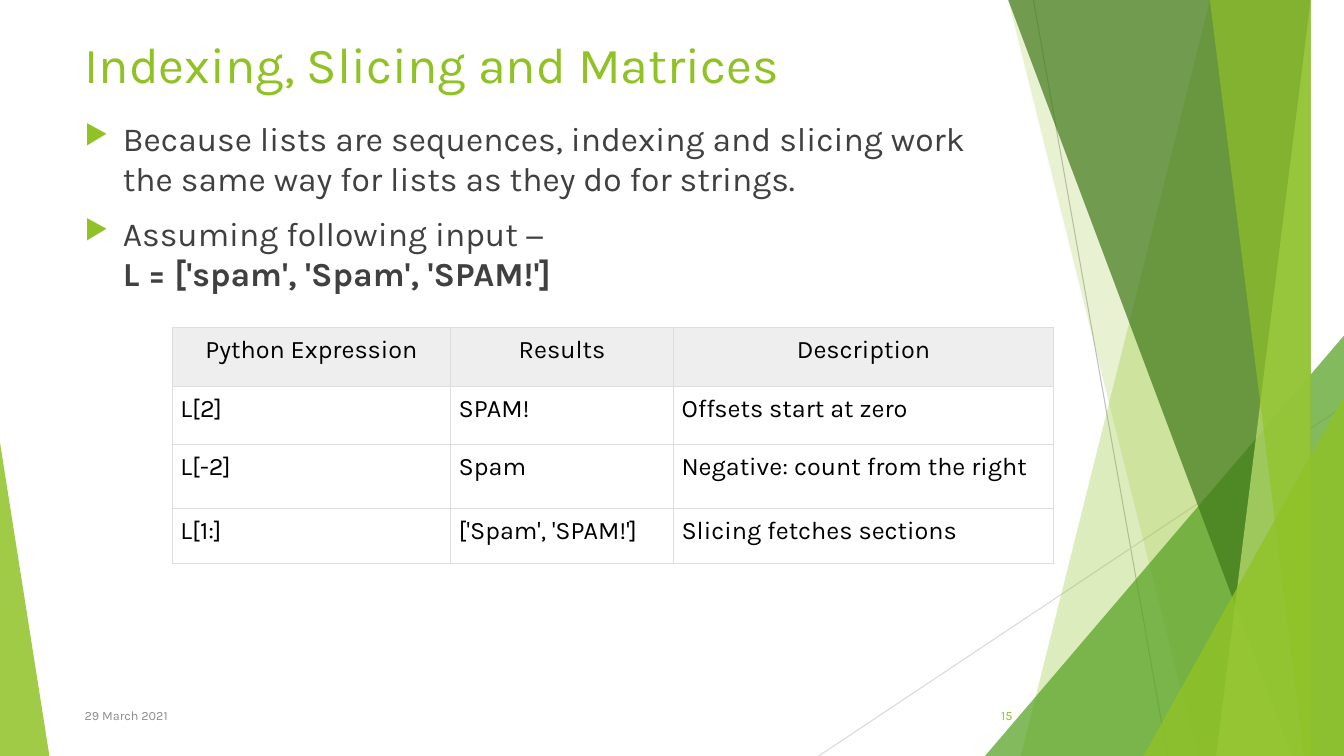
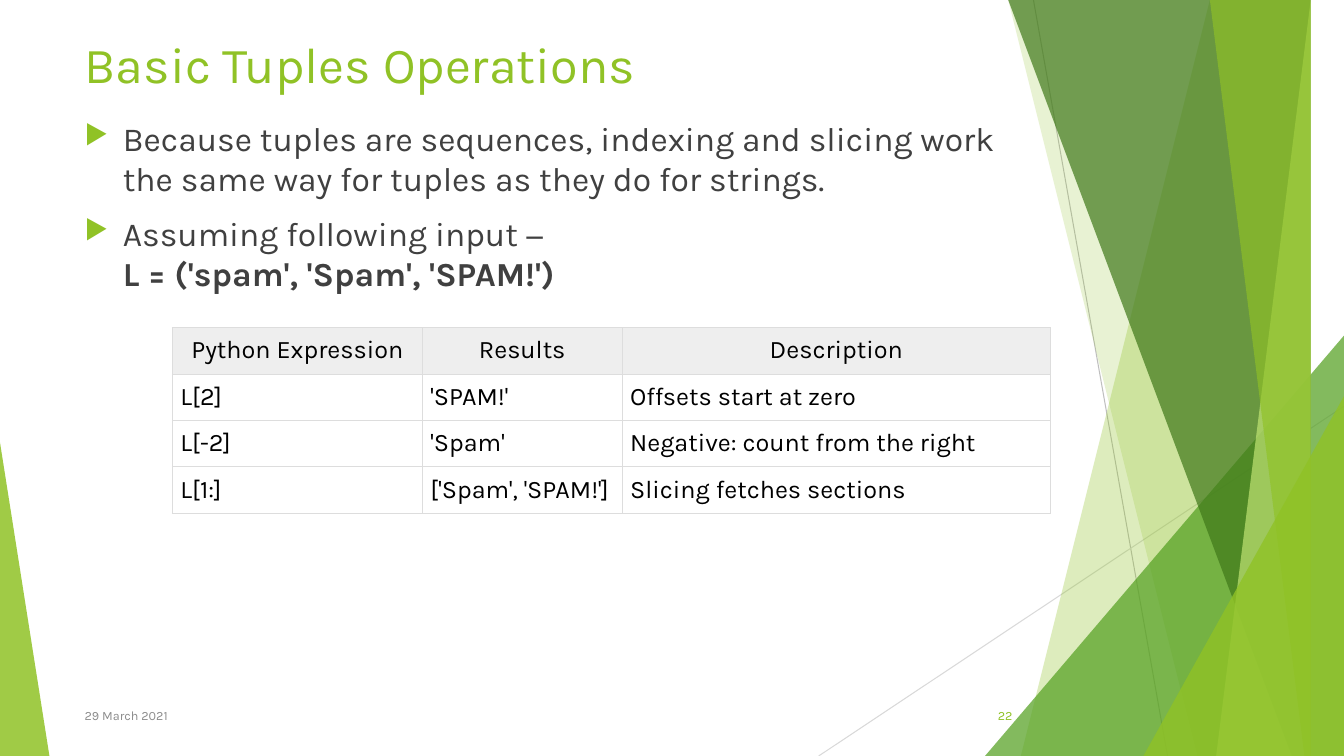
"""Build two slides on sequence indexing in a green wedge theme."""
from dataclasses import dataclass

from lxml import etree
from pptx import Presentation
from pptx import util as u
from pptx.dml.color import RGBColor
from pptx.enum import shapes, text
from pptx.oxml import ns


@dataclass(frozen=True)
class Theme:
    font: str = "Karla"
    lime: str = "90C226"
    leaf: str = "54A021"
    moss: str = "3F7819"
    pale: str = "C0E474"
    ink: str = "000000"
    body: str = "404040"
    mute: str = "8C8C8C"
    head: str = "EEEEEE"
    rule: str = "DDDDDD"
    steep: str = "BFBFBF"
    slant: str = "D9D9D9"
    title_pt: int = 36
    body_pt: int = 24
    cell_pt: int = 18
    foot_pt: int = 9
    line_pt: float = 0.75


WIDE, HIGH = 13.33, 7.5
LEFT, SPAN = 0.74, 9.4


def add_tag(parent, name, **attrs):
    return etree.SubElement(parent, ns.qn(name), attrs)


class Deck:
    def __init__(self, theme):
        self.theme = theme
        self.file = Presentation()
        self.file.slide_width = u.Inches(WIDE)
        self.file.slide_height = u.Inches(HIGH)
        self.slide = None

    def start(self, title, number):
        t = self.theme
        self.slide = self.file.slides.add_slide(self.file.slide_layouts[6])
        self.decor()
        self.label(title, (LEFT, 0.28, SPAN, 0.73), t.title_pt, t.lime)
        middle = text.MSO_ANCHOR.MIDDLE
        self.label(number, (9.39, 6.9, 0.75, 0.4), t.foot_pt, t.lime,
                   text.PP_ALIGN.RIGHT, middle)
        self.label("29 March 2021", (LEFT, 6.9, 6.89, 0.4), t.foot_pt, t.mute,
                   anchor=middle)

    def decor(self):
        t = self.theme
        self.line((10.25, 0), (11.58, HIGH), t.steep)
        self.line((WIDE, 4.03), (8.12, HIGH), t.slant)
        self.band(12.28, 10.04, t.lime, 30)
        self.band(10.5, 11.83, t.lime, 20)
        self.wedge(9.77, WIDE, 3.33, 1, t.leaf, 72)
        self.band(10.21, 12.91, t.moss, 70)
        self.band(13.03, 11.92, t.pale, 70)
        self.band(11.96, 13.18, t.lime, 65)
        self.wedge(11.34, WIDE, 3.93, 1, t.lime, 80)
        self.wedge(0, 0.49, 4.39, 0, t.lime, 85)

    def line(self, start, end, color):
        ends = [u.Inches(n) for n in (*start, *end)]
        line = self.slide.shapes.add_connector(shapes.MSO_CONNECTOR.STRAIGHT, *ends)
        line.line.color.rgb = RGBColor.from_string(color)
        line.line.width = u.Pt(self.theme.line_pt)
        add_tag(line.element.spPr, "a:effectLst")

    def band(self, top, foot, color, alpha):
        pen = self.slide.shapes.build_freeform(top, 0, scale=u.Inches(1))
        pen.add_line_segments([(WIDE, 0), (WIDE, HIGH), (foot, HIGH)], close=True)
        self.tint(pen.convert_to_shape(), color, alpha)

    def wedge(self, left, right, top, peak, color, alpha):
        box = [u.Inches(n) for n in (left, top, right - left, HIGH - top)]
        shape = self.slide.shapes.add_shape(
            shapes.MSO_SHAPE.ISOSCELES_TRIANGLE, *box)
        shape.adjustments[0] = peak
        self.tint(shape, color, alpha)

    def tint(self, shape, color, alpha):
        shape.shadow.inherit = False
        shape.line.fill.background()
        shape.fill.solid()
        shape.fill.fore_color.rgb = RGBColor.from_string(color)
        paint = shape.element.spPr.find(ns.qn("a:solidFill"))[0]
        add_tag(paint, "a:alpha", val=str(alpha * 1000))

    def style(self, para, size, color):
        para.font.name = self.theme.font
        para.font.size = u.Pt(size)
        para.font.color.rgb = RGBColor.from_string(color)

    def frame(self, box):
        frame = self.slide.shapes.add_textbox(*[u.Inches(n) for n in box]).text_frame
        frame.word_wrap = True
        return frame

    def label(self, words, box, size, color, align=None, anchor=None):
        frame = self.frame(box)
        frame.vertical_anchor = anchor
        para = frame.paragraphs[0]
        para.text = words
        para.alignment = align
        self.style(para, size, color)

    def points(self, first, second, code):
        frame = self.frame((LEFT, 1.12, SPAN, 5.78))
        lead, last = frame.paragraphs[0], frame.add_paragraph()
        lead.text = first
        last.text = second
        last.add_line_break()
        run = last.add_run()
        run.text = code
        run.font.bold = True
        for para in (lead, last):
            self.bullet(para)
            para.space_before = u.Pt(10)
            self.style(para, self.theme.body_pt, self.theme.body)

    def bullet(self, para):
        props = para._p.get_or_add_pPr()
        props.set("marL", str(u.Inches(0.38)))
        props.set("indent", str(u.Inches(-0.38)))
        add_tag(add_tag(props, "a:buClr"), "a:srgbClr", val=self.theme.lime)
        add_tag(props, "a:buSzPct", val="80000")
        add_tag(props, "a:buChar", char="▶")

    def table(self, widths, heights, rows):
        box = [u.Inches(n) for n in (1.71, 3.25, sum(widths), sum(heights))]
        grid = self.slide.shapes.add_table(len(rows), len(widths), *box).table
        grid.first_row = grid.horz_banding = False
        for col, width in zip(grid.columns, widths):
            col.width = u.Inches(width)
        for row, height, words in zip(grid.rows, heights, rows):
            row.height = u.Inches(height)
            for cell, word in zip(row.cells, words):
                self.cell(cell, word, words is rows[0])

    def cell(self, cell, word, head):
        t = self.theme
        cell.margin_left = cell.margin_right = u.Inches(0.08)
        cell.margin_top = cell.margin_bottom = u.Inches(0.08)
        props = cell._tc.get_or_add_tcPr()
        for side in "LRTB":
            edge = add_tag(props, f"a:ln{side}", w=str(u.Pt(t.line_pt)))
            add_tag(add_tag(edge, "a:solidFill"), "a:srgbClr", val=t.rule)
        para = cell.text_frame.paragraphs[0]
        para.text = word
        self.style(para, t.cell_pt, t.ink)
        if head:
            para.alignment = text.PP_ALIGN.CENTER
            cell.fill.solid()
            cell.fill.fore_color.rgb = RGBColor.from_string(t.head)
        else:
            cell.fill.background()

    def lesson(self, title, number, kind, code, widths, heights, found):
        self.start(title, number)
        self.points(
            f"Because {kind} are sequences, indexing and slicing work "
            f"the same way for {kind} as they do for strings.",
            "Assuming following input −", code)
        calls = ("L[2]", "L[-2]", "L[1:]")
        notes = ("Offsets start at zero", "Negative: count from the right",
                 "Slicing fetches sections")
        self.table(widths, heights,
                   [("Python Expression", "Results", "Description"),
                    *zip(calls, found, notes)])


def main():
    deck = Deck(Theme())
    deck.lesson("Indexing, Slicing and Matrices", "15", "lists",
                "L = ['spam', 'Spam', 'SPAM!']",
                (2.76, 2.21, 3.77), (0.58, 0.58, 0.63, 0.55),
                ("SPAM!", "Spam", "['Spam', 'SPAM!']"))
    deck.lesson("Basic Tuples Operations", "22", "tuples",
                "L = ('spam', 'Spam', 'SPAM!')",
                (2.48, 1.98, 4.25), (0.46,) * 4,
                ("'SPAM!'", "'Spam'", "['Spam', 'SPAM!']"))
    deck.file.save("out.pptx")


if __name__ == "__main__":
    main()
